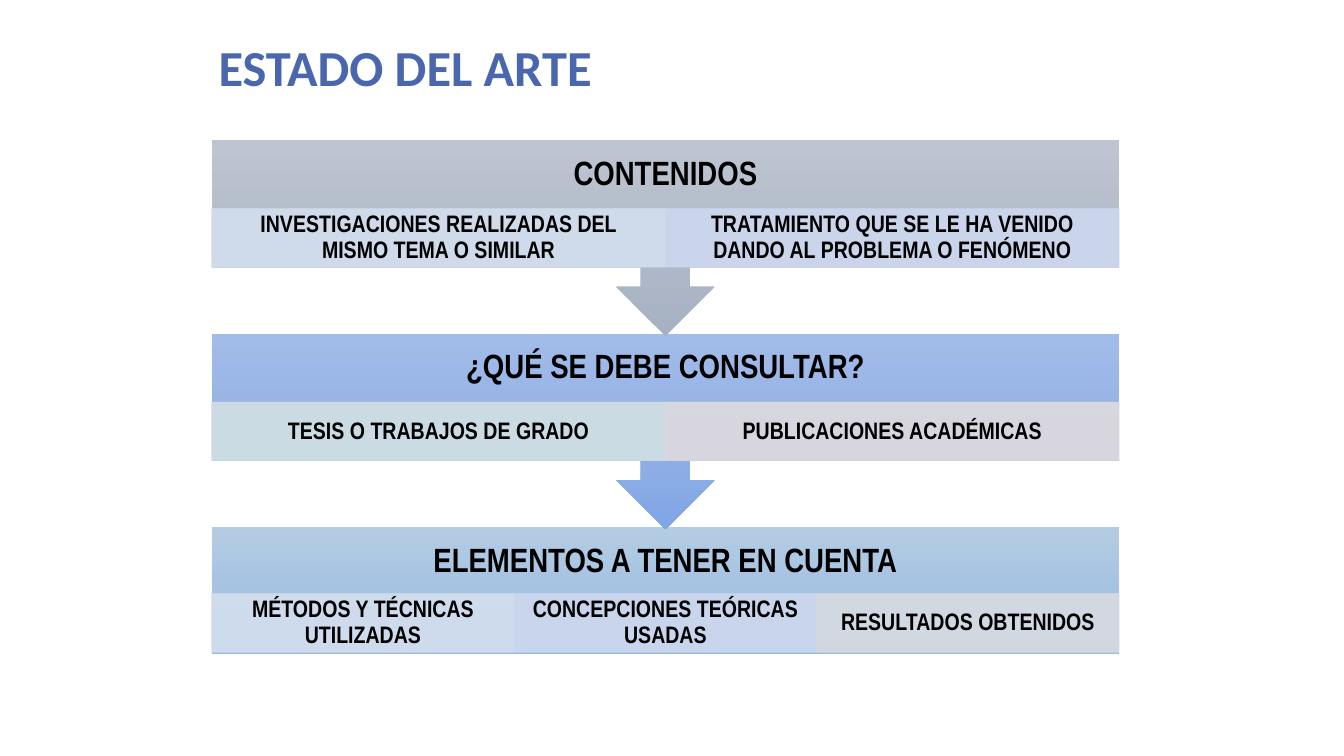
from copy import deepcopy

from lxml import etree
from pptx import Presentation
from pptx import util as u
from pptx.dml.color import RGBColor
from pptx.enum import shapes, text
from pptx.oxml import ns

PX = 9144
BLACK = RGBColor(0x00, 0x00, 0x00)
TITLE_BLUE = RGBColor(0x4A, 0x66, 0xAC)
PALE_BLUE = RGBColor(0xD3, 0xDF, 0xEE)
PALE_VIOLET = RGBColor(0xCD, 0xD8, 0xEF)
PALE_TEAL = RGBColor(0xD2, 0xE0, 0xE3)
PALE_MAUVE = RGBColor(0xDF, 0xDB, 0xDF)
PALE_GREY = RGBColor(0xD8, 0xDB, 0xE2)
GREY_RAMP = (RGBColor(0xBE, 0xC5, 0xD2), RGBColor(0xB2, 0xBB, 0xC9), RGBColor(0xA6, 0xB1, 0xC3))
BLUE_RAMP = (RGBColor(0xA2, 0xBC, 0xE9), RGBColor(0x94, 0xB1, 0xE5), RGBColor(0x80, 0xA6, 0xE6))
SKY_RAMP = (RGBColor(0xB4, 0xCC, 0xE2), RGBColor(0xA6, 0xC3, 0xE2), RGBColor(0x96, 0xBA, 0xE1))

CALLOUT = shapes.MSO_SHAPE.DOWN_ARROW_CALLOUT
RECTANGLE = shapes.MSO_SHAPE.RECTANGLE
STAGES = (
    (139, 194, 68, CALLOUT, GREY_RAMP, "CONTENIDOS", (
        ("INVESTIGACIONES REALIZADAS DEL MISMO TEMA O SIMILAR", PALE_BLUE),
        ("TRATAMIENTO QUE SE LE HA VENIDO DANDO AL PROBLEMA O FENÓMENO", PALE_VIOLET))),
    (331, 194, 68, CALLOUT, BLUE_RAMP, "¿QUÉ SE DEBE CONSULTAR?", (
        ("TESIS O TRABAJOS DE GRADO", PALE_TEAL),
        ("PUBLICACIONES ACADÉMICAS", PALE_MAUVE))),
    (523, 126, 66, RECTANGLE, SKY_RAMP, "ELEMENTOS A TENER EN CUENTA", (
        ("MÉTODOS Y TÉCNICAS UTILIZADAS", PALE_BLUE),
        ("CONCEPCIONES TEÓRICAS USADAS", PALE_VIOLET),
        ("RESULTADOS OBTENIDOS", PALE_GREY))),
)


def emu(*lengths):
    """Turn px lengths into EMU."""
    return [u.Emu(length * PX) for length in lengths]


def write(shape, words, size, font="Arial Narrow", color=BLACK, spacing=0.9,
          align=text.PP_ALIGN.CENTER, anchor=text.MSO_ANCHOR.MIDDLE, insets=(13, 2)):
    """Put one bold run of words in a shape."""
    frame = shape.text_frame
    frame.word_wrap = True
    frame.vertical_anchor = anchor
    side, edge = emu(*insets)
    frame.margin_left = frame.margin_right = side
    frame.margin_top = frame.margin_bottom = edge
    paragraph = frame.paragraphs[0]
    paragraph.alignment = align
    paragraph.line_spacing = spacing
    run = paragraph.add_run()
    run.text = words
    run.font.name, run.font.size, run.font.bold = font, u.Pt(size), True
    run.font.color.rgb = color


def fill_ramp(shape, ramp):
    """Fill a shape with evenly spaced colours from top to bottom."""
    shape.fill.gradient()
    shape.fill.gradient_angle = 270
    stop_list = shape._element.spPr.find(".//" + ns.qn("a:gsLst"))
    stop_list.append(deepcopy(stop_list[0]))
    for index, (stop, color) in enumerate(zip(shape.fill.gradient_stops, ramp)):
        stop.position = index / (len(ramp) - 1)
        stop.color.rgb = color


def add_title(slide, left, top, width, height):
    """Write the slide heading."""
    heading = slide.shapes.add_textbox(*emu(left, top, width, height))
    write(heading, "ESTADO DEL ARTE", 36, "Calibri", TITLE_BLUE, 0.8,
          text.PP_ALIGN.LEFT, text.MSO_ANCHOR.BOTTOM, (10, 5))


def add_topic(slide, left, top, width, height, words, color):
    """Draw one translucent topic cell."""
    topic = slide.shapes.add_shape(RECTANGLE, *emu(left, top, width, height))
    topic.shadow.inherit = False
    topic.fill.solid()
    topic.fill.fore_color.rgb = color
    topic.line.color.rgb = color
    topic.line.width = u.Pt(0.5)
    for tint in topic._element.spPr.iter(ns.qn("a:srgbClr")):
        etree.SubElement(tint, ns.qn("a:alpha"), val="90000")
    write(topic, words, 17)


def add_stage(slide, left, top, width, height, offset, outline, ramp, heading, topics):
    """Draw a stage with its heading and a row of equal topics."""
    stage = slide.shapes.add_shape(outline, *emu(left, top, width, height))
    stage.shadow.inherit = False
    stage.line.fill.background()
    fill_ramp(stage, ramp)
    label = slide.shapes.add_textbox(*emu(left, top, width, 68))
    write(label, heading, 24, insets=(19, 19))
    topic_width = width // len(topics)
    for column, (words, color) in enumerate(topics):
        add_topic(slide, left + column * topic_width, top + offset, topic_width, 58, words, color)


def main():
    """Build and save the slide."""
    deck = Presentation()
    deck.slide_width, deck.slide_height = emu(1333, 750)
    slide = deck.slides.add_slide(deck.slide_layouts[6])
    add_title(slide, 207, 39, 900, 61)
    for top, height, *details in reversed(STAGES):
        add_stage(slide, 210, top, 900, height, *details)
    deck.save("out.pptx")


if __name__ == "__main__":
    main()
